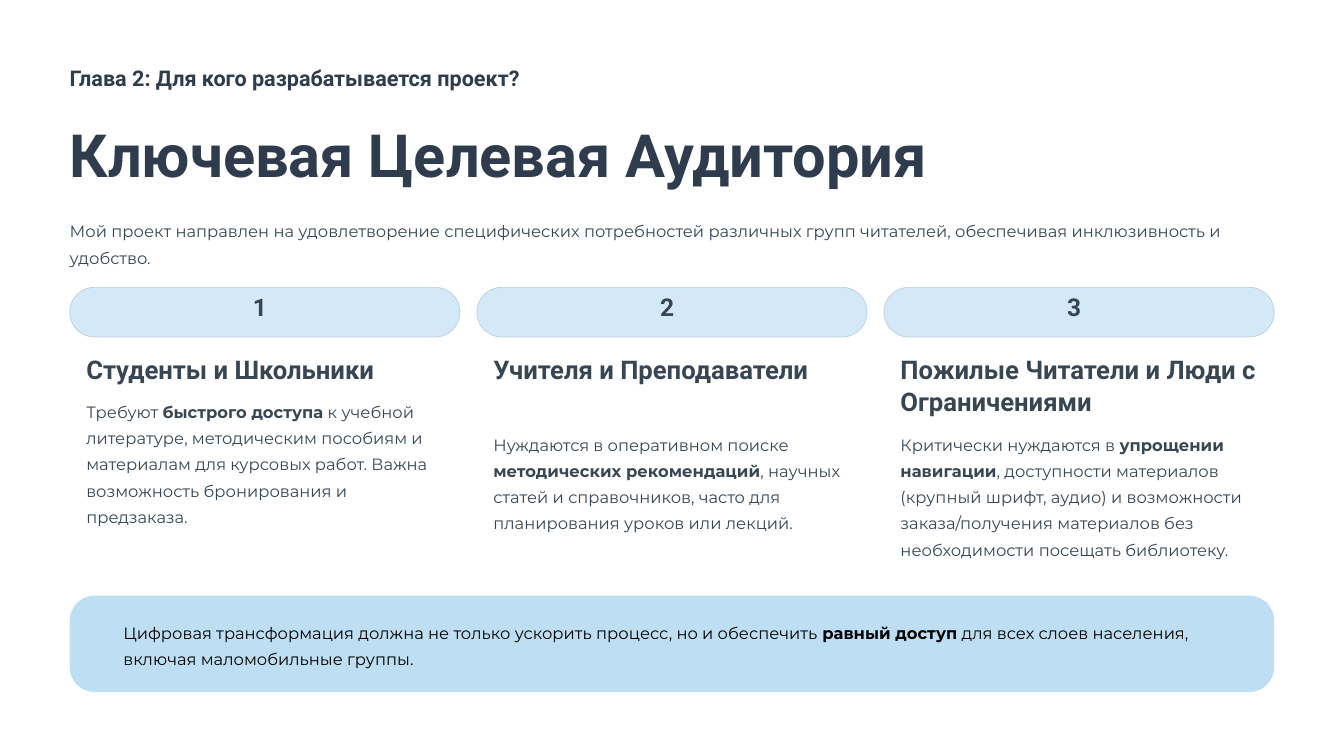
from pptx import Presentation
from pptx.dml.color import RGBColor
from pptx.enum.shapes import MSO_SHAPE
from pptx.enum.text import MSO_ANCHOR, MSO_AUTO_SIZE, PP_ALIGN
from pptx.util import Cm, Pt

NAVY = RGBColor(0x2E, 0x3C, 0x4E)
SLATE = RGBColor(0x38, 0x46, 0x53)
BLACK = RGBColor(0x00, 0x00, 0x00)
PALE_BLUE = RGBColor(0xD4, 0xE9, 0xF7)
PILL_LINE = RGBColor(0xBA, 0xCF, 0xDD)
SKY_BLUE = RGBColor(0xBE, 0xDF, 0xF3)

CHAPTER = dict(name="Roboto", size=18.5, bold=True, color=NAVY, spacing=23)
TITLE = dict(name="Roboto", size=51, bold=True, color=NAVY, spacing=64)
NUMBER = dict(name="Roboto", size=21, bold=True, color=SLATE, spacing=21)
HEADING = dict(name="Roboto", size=22, bold=True, color=SLATE, spacing=27.5)
BODY = dict(name="Montserrat", size=14, bold=False, color=SLATE, spacing=22.5)
CALLOUT = {**BODY, "color": BLACK}

LEFT = 2.11
CONTENT_WIDTH = 36.42
COLUMN_STEP = 12.31
PILL_WIDTH = 11.8
PILL_TOP = 8.69
CARD_INSET = 0.5
CARD_TEXT_WIDTH = 10.82

# Heading, top of the description, description (odd parts are bold)
AUDIENCES = [
    ("Студенты и Школьники", 11.96,
     ["Требуют ", "быстрого доступа",
      " к учебной литературе, методическим пособиям и материалам для курсовых работ. "
      "Важна возможность бронирования и предзаказа."]),
    ("Учителя и Преподаватели", 12.95,
     ["Нуждаются в оперативном поиске ", "методических рекомендаций",
      ", научных статей и справочников, часто для планирования уроков или лекций."]),
    ("Пожилые Читатели и Люди с Ограничениями", 12.95,
     ["Критически нуждаются в ", "упрощении навигации",
      ", доступности материалов (крупный шрифт, аудио) и возможности заказа/получения "
      "материалов без необходимости посещать библиотеку."]),
]


def set_attributes(target, values):
    for name, value in values.items():
        setattr(target, name, value)


def fill_text(box, parts, style):
    """Write parts as one paragraph; every second part is bold."""
    frame = box.text_frame
    set_attributes(frame, dict(
        margin_left=0, margin_right=0, margin_top=0, margin_bottom=0,
        word_wrap=True, auto_size=MSO_AUTO_SIZE.NONE, vertical_anchor=MSO_ANCHOR.TOP))
    para = frame.paragraphs[0]
    set_attributes(para, dict(alignment=PP_ALIGN.LEFT, line_spacing=Pt(style["spacing"])))
    for index, part in enumerate(parts):
        span = para.add_run()
        span.text = part
        set_attributes(span.font, dict(
            name=style["name"], size=Pt(style["size"]),
            bold=style["bold"] or index % 2 == 1))
        span.font.color.rgb = style["color"]


def add_text(page, left, top, width, height, parts, style):
    box = page.shapes.add_textbox(Cm(left), Cm(top), Cm(width), Cm(height))
    fill_text(box, parts, style)


def add_title(page, text):
    title = page.shapes.title
    set_attributes(title, dict(left=Cm(LEFT), top=Cm(3.48), width=Cm(28.8), height=Cm(2.26)))
    fill_text(title, [text], TITLE)


def add_rounded_panel(page, left, top, width, height, rounding, fill, line=None):
    panel = page.shapes.add_shape(
        MSO_SHAPE.ROUNDED_RECTANGLE, Cm(left), Cm(top), Cm(width), Cm(height))
    panel.shadow.inherit = False
    panel.adjustments[0] = rounding
    panel.fill.solid()
    panel.fill.fore_color.rgb = fill
    if line is None:
        panel.line.fill.background()
    else:
        panel.line.color.rgb = line
        panel.line.width = Pt(0.6)


def add_audience_card(page, index, heading, body_top, description):
    left = LEFT + index * COLUMN_STEP
    text_left = left + CARD_INSET
    add_rounded_panel(page, left, PILL_TOP, PILL_WIDTH, 1.5, 0.5, PALE_BLUE, PILL_LINE)
    add_text(page, left + 5.54, 8.97, 0.76, 0.94, [str(index + 1)], NUMBER)
    add_text(page, text_left, 10.67, CARD_TEXT_WIDTH, 1.98, [heading], HEADING)
    add_text(page, text_left, body_top, CARD_TEXT_WIDTH, 4, description, BODY)


def main():
    deck = Presentation()
    set_attributes(deck, dict(slide_width=Cm(40.64), slide_height=Cm(22.86)))
    page = deck.slides.add_slide(deck.slide_layouts[5])

    add_text(page, LEFT, 1.93, 14.88, 0.81,
             ["Глава 2: Для кого разрабатывается проект?"], CHAPTER)
    add_title(page, "Ключевая Целевая Аудитория")
    add_text(page, LEFT, 6.5, CONTENT_WIDTH, 1.6,
             ["Мой проект направлен на удовлетворение специфических потребностей различных "
              "групп читателей, обеспечивая инклюзивность и удобство."], BODY)

    for index, audience in enumerate(AUDIENCES):
        add_audience_card(page, index, *audience)

    add_rounded_panel(page, LEFT, 18.01, CONTENT_WIDTH, 2.92, 0.26, SKY_BLUE)
    add_text(page, 3.73, 18.64, 34.29, 1.6,
             ["Цифровая трансформация должна не только ускорить процесс, но и обеспечить ",
              "равный доступ",
              " для всех слоев населения, включая маломобильные группы."], CALLOUT)

    deck.save("out.pptx")


if __name__ == "__main__":
    main()
